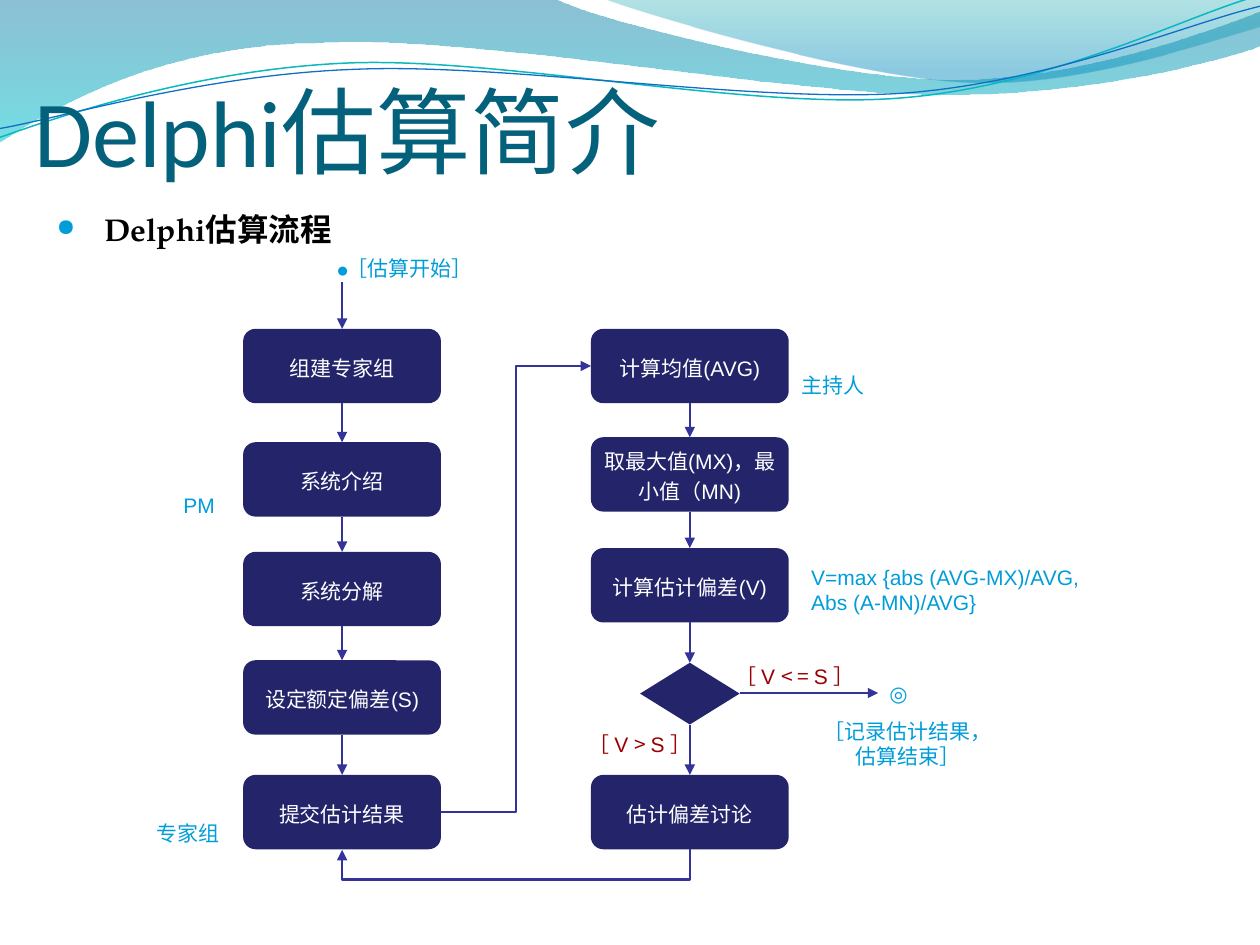
from lxml import etree
from pptx import Presentation
from pptx.dml.color import RGBColor
from pptx.enum.shapes import MSO_CONNECTOR, MSO_SHAPE
from pptx.enum.text import MSO_ANCHOR, PP_ALIGN
from pptx.oxml import parse_xml
from pptx.oxml.ns import nsdecls, qn
from pptx.util import Inches, Pt

STRAIGHT, ELBOW = MSO_CONNECTOR.STRAIGHT, MSO_CONNECTOR.ELBOW
STEP, DECISION = MSO_SHAPE.FLOWCHART_ALTERNATE_PROCESS, MSO_SHAPE.FLOWCHART_DECISION
LEFT, CENTER = PP_ALIGN.LEFT, PP_ALIGN.CENTER
TOP, MIDDLE, BOTTOM = MSO_ANCHOR.TOP, MSO_ANCHOR.MIDDLE, MSO_ANCHOR.BOTTOM

CJK = "Noto Sans CJK SC"
NAVY, INDIGO, SKY, MAROON = "24246B", "333399", "009DD9", "990000"

# Flow grid: two columns of steps, each with its own row tops
STEP_W, STEP_H = 1.57, 0.59
COLUMNS = [
    (1.93, [(2.61, "组建专家组"), (3.51, "系统介绍"), (4.38, "系统分解"),
            (5.24, "设定额定偏差(S)"), (6.15, "提交估计结果")]),
    (4.69, [(2.61, "计算均值(AVG)"), (3.47, "取最大值(MX)，最小值（MN)"),
            (4.35, "计算估计偏差(V)"), (5.26, None), (6.15, "估计偏差讨论")]),
]
DECISION_W, DECISION_H = 0.79, 0.49

# Header waves: start point, then cubic (control, control, end) or line points
BACK_WAVE = [[(0, -0.01)], [(4.4, -0.01)],
             [(4.76, 0.17), (6.64, 0.63), (7.58, 0.63)],
             [(8.53, 0.63), (9.58, 0.26), (10, 0.09)], [(10.01, 0.36)],
             [(9.83, 0.44), (8.7, 0.76), (7.46, 0.75)],
             [(6.22, 0.75), (3.82, 0.28), (2.57, 0.34)],
             [(1.29, 0.35), (0.46, 0.83), (-0.01, 1.13)]]
FRONT_WAVE = [[(4.79, -0.01)], [(5.09, 0.11), (6.82, 0.62), (7.69, 0.65)],
              [(8.56, 0.69), (9.61, 0.32), (10, 0.21)], [(10, 0)]]
TEAL_LINE = [[(0, 1.09)], [(0.48, 0.92), (1.57, 0.55), (2.76, 0.5)],
             [(3.95, 0.45), (5.92, 0.87), (7.12, 0.78)],
             [(8.33, 0.69), (9.38, 0.14), (9.97, -0.03)]]
BLUE_LINE = [[(0, 1.02)], [(0.47, 0.94), (1.63, 0.59), (2.83, 0.55)],
             [(4.02, 0.5), (5.97, 0.82), (7.17, 0.74)],
             [(8.36, 0.65), (9.41, 0.19), (10, 0.05)]]


def color(hex_value):
    return RGBColor.from_string(hex_value)


def add_curve(slide, path, closed):
    """Outline through all points, then join each group of three into one cubic."""
    points = [(Inches(x), Inches(y)) for segment in path for x, y in segment]
    builder = slide.shapes.build_freeform(*points[0])
    builder.add_line_segments(points[1:], close=closed)
    curve = builder.convert_to_shape()
    curve.shadow.inherit = False
    pieces = iter(list(curve._element.iter(qn("a:lnTo"))))
    for segment in path[1:]:
        first, *others = [next(pieces) for _ in segment]
        if others:
            first.tag = qn("a:cubicBezTo")
            for piece in others:
                first.append(piece[0])
                piece.getparent().remove(piece)
    return curve


def add_wave(slide, path, stops):
    wave = add_curve(slide, path, True)
    wave.line.fill.background()
    stop_xml = "".join(
        f'<a:gs pos="{pos * 1000}"><a:srgbClr val="{tone}">'
        f'<a:alpha val="{alpha * 1000}"/></a:srgbClr></a:gs>' for pos, tone, alpha in stops)
    wave._element.spPr.find(qn("a:custGeom")).addnext(parse_xml(
        f'<a:gradFill {nsdecls("a")}><a:gsLst>{stop_xml}</a:gsLst>'
        '<a:lin ang="5400000" scaled="0"/></a:gradFill>'))


def add_wave_line(slide, path, tone, width):
    line = add_curve(slide, path, False)
    line.fill.background()
    line.line.color.rgb = color(tone)
    line.line.width = Pt(width)


def format_run(run, size, tone, font="Arial", bold=False):
    run.font.size, run.font.name, run.font.bold = Pt(size), font, bold
    run.font.color.rgb = color(tone)
    run._r.get_or_add_rPr().find(qn("a:latin")).addnext(
        parse_xml(f'<a:ea {nsdecls("a")} typeface="{CJK}"/>'))


def set_text(frame, text, size=12, tone=SKY, font="Arial", bold=False, align=CENTER,
             anchor=TOP, insets=(0.1, 0.05, 0.1, 0.05)):
    frame.text = text
    frame.word_wrap, frame.vertical_anchor = True, anchor
    (frame.margin_left, frame.margin_top,
     frame.margin_right, frame.margin_bottom) = map(Inches, insets)
    for paragraph in frame.paragraphs:
        paragraph.alignment = align
        for run in paragraph.runs:
            format_run(run, size, tone, font, bold)


def add_label(slide, area, text, **style):
    frame = slide.shapes.add_textbox(*map(Inches, area)).text_frame
    set_text(frame, text, **style)
    return frame


def add_condition(slide, area, operator):
    paragraph = add_label(slide, area, "［ V ", tone=MAROON).paragraphs[0]
    for text, font in ((operator, CJK), ("S ］", "Arial")):
        run = paragraph.add_run()
        run.text = text
        format_run(run, 12, MAROON, font)


def add_node(slide, kind, area, tone, text=None):
    node = slide.shapes.add_shape(kind, *map(Inches, area))
    node.shadow.inherit = False
    node.fill.solid()
    node.fill.fore_color.rgb = color(tone)
    node.line.fill.background()
    if text:
        set_text(node.text_frame, text, tone="FFFFFF", anchor=MIDDLE,
                 insets=(0.05, 0.03, 0.05, 0.04))
        node.text_frame.paragraphs[0].line_spacing = 1.2


def add_arrow(slide, start, end, kind=STRAIGHT):
    arrow = slide.shapes.add_connector(kind, *map(Inches, (*start, *end)))
    arrow.line.color.rgb = color(INDIGO)
    arrow.line.width = Pt(1.5)
    etree.SubElement(arrow.line._get_or_add_ln(), qn("a:tailEnd"), type="triangle")
    etree.SubElement(arrow._element.spPr, qn("a:effectLst"))
    return arrow


def add_return_arrow(slide, x_from, x_to, y, drop):
    """Elbow that leaves downwards, runs below both columns and comes back up."""
    middle, half, thin = (x_from + x_to) / 2, (x_from - x_to) / 2, 0.01
    arrow = add_arrow(slide, (middle - thin / 2, y - half), (middle + thin / 2, y + half), ELBOW)
    properties = arrow._element.spPr
    properties.find(qn("a:xfrm")).set("rot", "5400000")
    guides = properties.find(qn("a:prstGeom")).get_or_add_avLst()
    etree.SubElement(guides, qn("a:gd"), name="adj1", fmla=f"val {round(drop / thin * 100000)}")


def add_column(slide, left, steps):
    center = left + STEP_W / 2
    previous_bottom = None
    for top, text in steps:
        if text:
            width, height = STEP_W, STEP_H
            add_node(slide, STEP, (left, top, width, height), NAVY, text)
        else:
            width, height = DECISION_W, DECISION_H
            add_node(slide, DECISION, (center - width / 2, top, width, height), NAVY)
        if previous_bottom:
            add_arrow(slide, (center, previous_bottom), (center, top))
        previous_bottom = top + height


def add_heading(slide):
    add_label(slide, (0.27, 0.69, 9.45, 0.79), "Delphi估算简介", size=54, tone="04617B",
              font="Calibri", align=LEFT, anchor=BOTTOM, insets=(0, 0.05, 0, 0))
    topic = add_label(slide, (0.35, 1.47, 9.29, 5.48), "Delphi估算流程", size=18, tone="000000",
                      font="TeX Gyre Pagella", bold=True, align=LEFT).paragraphs[0]
    topic.line_spacing = 1.5
    properties = topic._p.get_or_add_pPr()
    properties.set("marL", str(Inches(0.38)))
    properties.set("indent", str(-Inches(0.38)))
    for bullet in (f'<a:buClr {nsdecls("a")}><a:srgbClr val="{SKY}"/></a:buClr>',
                   f'<a:buSzPct {nsdecls("a")} val="75000"/>',
                   f'<a:buChar {nsdecls("a")} char="●"/>'):
        properties.append(parse_xml(bullet))


def main():
    deck = Presentation()
    deck.slide_width, deck.slide_height = Inches(10), Inches(7.5)
    slide = deck.slides.add_slide(deck.slide_layouts[6])

    # Header decoration and headings
    add_wave(slide, BACK_WAVE, [(0, "0074A1", 45), (100, "00C6CF", 55)])
    add_wave(slide, FRONT_WAVE, [(0, "00A1A9", 30), (80, "008BBF", 45)])
    add_wave_line(slide, TEAL_LINE, "0AB8BF", 0.85)
    add_wave_line(slide, BLUE_LINE, "0F6FC6", 0.75)
    add_heading(slide)

    # Steps and the arrows inside each column
    for left, steps in COLUMNS:
        add_column(slide, left, steps)

    # Arrows that start, link and end the columns
    first, second = (left for left, _ in COLUMNS)
    first_mid, second_mid = first + STEP_W / 2, second + STEP_W / 2
    top, last = 2.61, 6.15
    add_arrow(slide, (first_mid, 2.24), (first_mid, top))
    add_arrow(slide, (first + STEP_W, last + STEP_H / 2), (second, top + STEP_H / 2), ELBOW)
    add_arrow(slide, (second_mid + DECISION_W / 2, 5.5), (6.97, 5.5))
    add_return_arrow(slide, second_mid, first_mid, last + STEP_H, 0.25)

    # Start and end marks, conditions and notes
    for area, mark in (((2.56, 2.04, 0.32, 0.2), "●"), ((6.97, 5.4, 0.32, 0.2), "◎")):
        add_label(slide, area, mark, anchor=MIDDLE, insets=(0, 0, 0, 0))
    add_label(slide, (2.44, 1.98, 1.62, 0.3), "［估算开始］")
    add_label(slide, (6.42, 5.65, 1.57, 0.5), "［记录估计结果，估算结束］")
    add_label(slide, (6.34, 4.43, 3.23, 0.5),
              "V=max {abs (AVG-MX)/AVG,\nAbs (A-MN)/AVG}", align=LEFT)
    add_condition(slide, (4.37, 5.76, 1.42, 0.3), "> ")
    add_condition(slide, (5.6, 5.22, 1.42, 0.3), "< = ")

    # Roles
    for left, top, role in ((1.18, 3.91, "PM"), (1.09, 6.51, "专家组"), (6.21, 2.96, "主持人")):
        add_label(slide, (left, top, 0.8, 0.2), role, anchor=MIDDLE, insets=(0, 0, 0, 0))

    deck.save("out.pptx")


if __name__ == "__main__":
    main()
